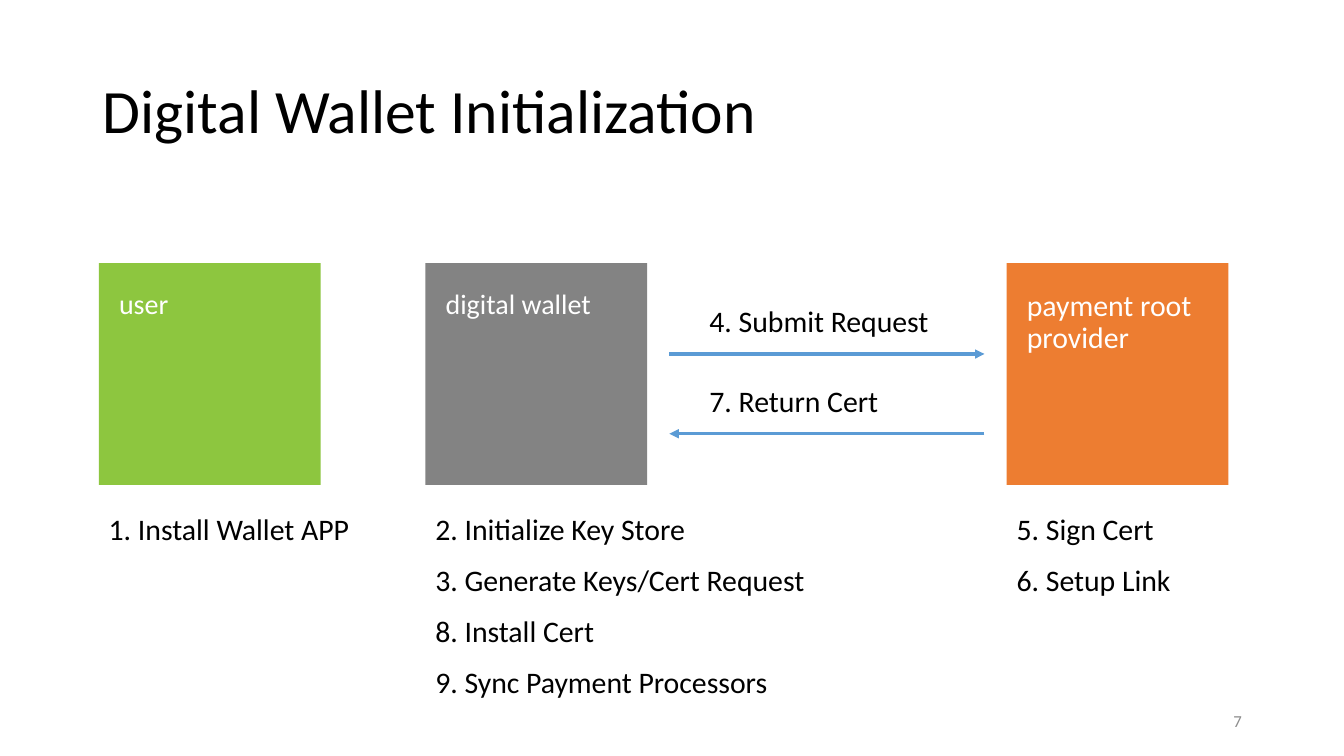
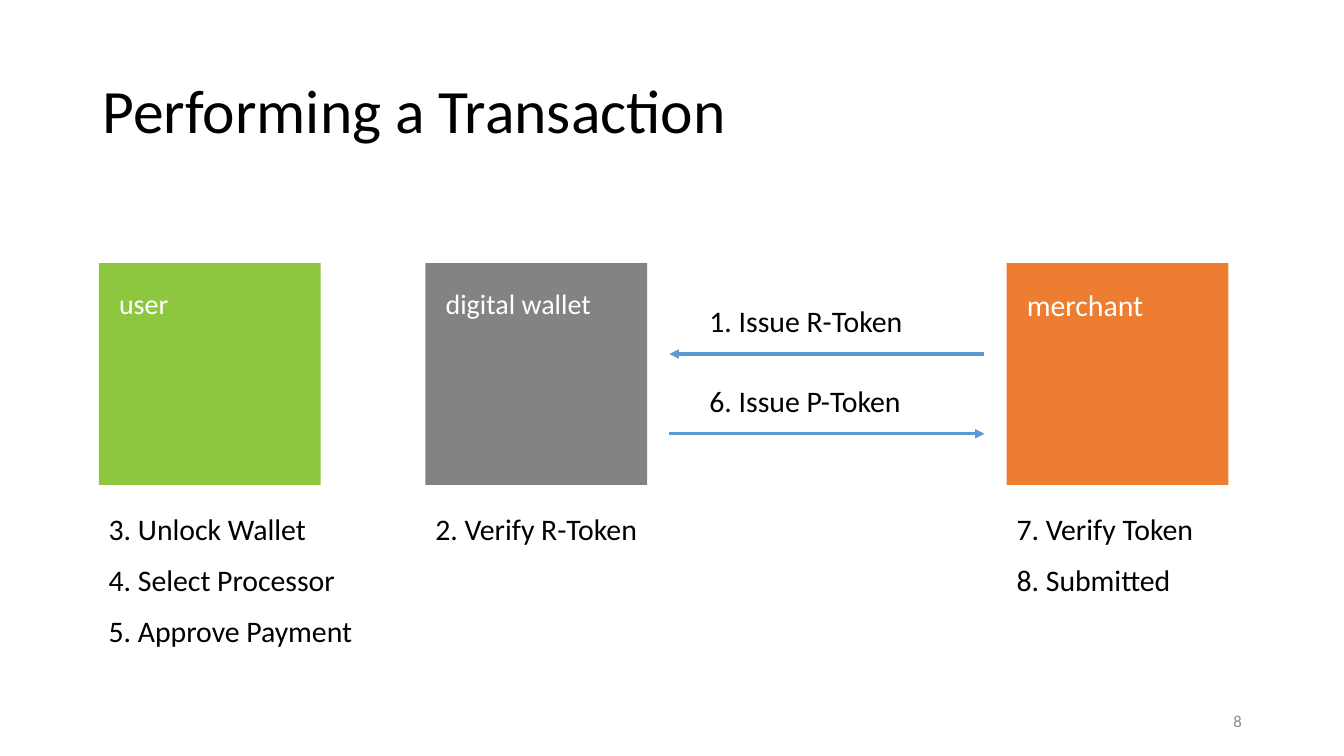
from dataclasses import dataclass

from lxml import etree
from pptx import Presentation
from pptx.dml.color import RGBColor
from pptx.enum.shapes import MSO_CONNECTOR, MSO_SHAPE
from pptx.enum.text import MSO_ANCHOR, PP_ALIGN
from pptx.oxml.ns import qn
from pptx.util import Cm, Pt

RECTANGLE = MSO_SHAPE.RECTANGLE
STRAIGHT = MSO_CONNECTOR.STRAIGHT
TOP, MIDDLE = MSO_ANCHOR.TOP, MSO_ANCHOR.MIDDLE
LEFT, RIGHT = PP_ALIGN.LEFT, PP_ALIGN.RIGHT


@dataclass(frozen=True)
class Theme:
    font: str = "Calibri"
    text: str = "000000"
    on_fill: str = "FFFFFF"
    page_number: str = "8C8C8C"
    user: str = "8DC63F"
    wallet: str = "838383"
    partner: str = "ED7D31"
    arrow: str = "5B9BD5"
    title_size: float = 44
    step_size: float = 21.3
    party_size: float = 20
    page_size: float = 12
    arrow_width: float = 2.25
    line_spacing: float = 0.9


THEME = Theme()

# Layout in centimetres
SQUARE, SQUARE_TOP = 5.59, 6.63
USER_X, WALLET_X, PARTNER_X = 2.49, 10.72, 25.37
STEP_TOP, STEP_PITCH, STEP_HEIGHT = 12.85, 1.28, 1.07
ARROW_GAP, ARROW_TOP, ARROW_PITCH = 0.56, 8.92, 2.01
MESSAGE_X, MESSAGE_RISE = 17.63, 1.32

# Each party: left edge, fill, label size, width of its step list
PARTIES = (
    (USER_X, THEME.user, THEME.party_size, 8),
    (WALLET_X, THEME.wallet, THEME.party_size, 11),
    (PARTNER_X, THEME.partner, THEME.step_size, 6),
)

# Columns hold a party and its steps; messages hold a text and
# whether the wallet is the sender
SLIDES = (
    {
        "title": "Digital Wallet Initialization",
        "page": "7",
        "columns": (
            ("user", ("1. Install Wallet APP",)),
            ("digital wallet", (
                "2. Initialize Key Store",
                "3. Generate Keys/Cert Request",
                "8. Install Cert",
                "9. Sync Payment Processors",
            )),
            ("payment root provider", ("5. Sign Cert", "6. Setup Link")),
        ),
        "messages": (("4. Submit Request", True), ("7. Return Cert", False)),
    },
    {
        "title": "Performing a Transaction",
        "page": "8",
        "columns": (
            ("user", (
                "3. Unlock Wallet",
                "4. Select Processor",
                "5. Approve Payment",
            )),
            ("digital wallet", ("2. Verify R-Token",)),
            ("merchant", ("7. Verify Token", "8. Submitted")),
        ),
        "messages": (("1. Issue R-Token", False), ("6. Issue P-Token", True)),
    },
)


def write(frame, text, size, color, anchor=TOP, align=LEFT,
          spacing=THEME.line_spacing):
    """Fill a text frame with one styled run."""
    frame.word_wrap = True
    frame.vertical_anchor = anchor
    paragraph = frame.paragraphs[0]
    paragraph.alignment = align
    paragraph.line_spacing = spacing
    run = paragraph.add_run()
    run.text = text
    run.font.name = THEME.font
    run.font.size = Pt(size)
    run.font.color.rgb = RGBColor.from_string(color)


def add_text(slide, box, text, size, color=THEME.text, **style):
    label = slide.shapes.add_textbox(*map(Cm, box))
    write(label.text_frame, text, size, color, **style)


def add_step(slide, left, top, width, text):
    add_text(slide, (left, top, width, STEP_HEIGHT), text, THEME.step_size)


def add_party(slide, left, fill, size, name):
    square = slide.shapes.add_shape(
        RECTANGLE, Cm(left), Cm(SQUARE_TOP), Cm(SQUARE), Cm(SQUARE))
    square.shadow.inherit = False
    square.fill.solid()
    square.fill.fore_color.rgb = RGBColor.from_string(fill)
    square.line.fill.background()
    frame = square.text_frame
    frame.margin_left, frame.margin_top = Cm(0.51), Cm(0.69)
    frame.margin_right, frame.margin_bottom = Cm(0.33), Cm(0.18)
    write(frame, name, size, THEME.on_fill)


def add_arrow(slide, start, end, y):
    arrow = slide.shapes.add_connector(
        STRAIGHT, Cm(start), Cm(y), Cm(end), Cm(y))
    arrow.line.color.rgb = RGBColor.from_string(THEME.arrow)
    arrow.line.width = Pt(THEME.arrow_width)
    etree.SubElement(arrow.line._get_or_add_ln(), qn("a:tailEnd"),
                     type="triangle")
    etree.SubElement(arrow._element.spPr, qn("a:effectLst"))


def add_message(slide, row, text, from_wallet):
    """Draw an arrow between wallet and partner with its text above."""
    y = ARROW_TOP + row * ARROW_PITCH
    ends = (WALLET_X + SQUARE + ARROW_GAP, PARTNER_X - ARROW_GAP)
    start, end = ends if from_wallet else reversed(ends)
    add_arrow(slide, start, end, y)
    add_step(slide, MESSAGE_X, y - MESSAGE_RISE, 7, text)


def add_slide(prs, content):
    slide = prs.slides.add_slide(prs.slide_layouts[6])

    # Title and page number
    add_text(slide, (2.34, 1.02, 29.21, 3.68), content["title"],
             THEME.title_size, anchor=MIDDLE)
    add_text(slide, (23.93, 17.65, 7.62, 1.02), content["page"],
             THEME.page_size, THEME.page_number, anchor=MIDDLE, align=RIGHT,
             spacing=1.0)

    # Parties with the steps each one takes
    for (left, fill, size, width), (name, steps) in zip(
            PARTIES, content["columns"]):
        add_party(slide, left, fill, size, name)
        for row, step in enumerate(steps):
            add_step(slide, left, STEP_TOP + row * STEP_PITCH, width, step)

    # Messages between wallet and partner
    for row, (text, from_wallet) in enumerate(content["messages"]):
        add_message(slide, row, text, from_wallet)


def main():
    prs = Presentation()
    prs.slide_width, prs.slide_height = Cm(33.87), Cm(19.05)
    for content in SLIDES:
        add_slide(prs, content)
    prs.save("out.pptx")


if __name__ == "__main__":
    main()
